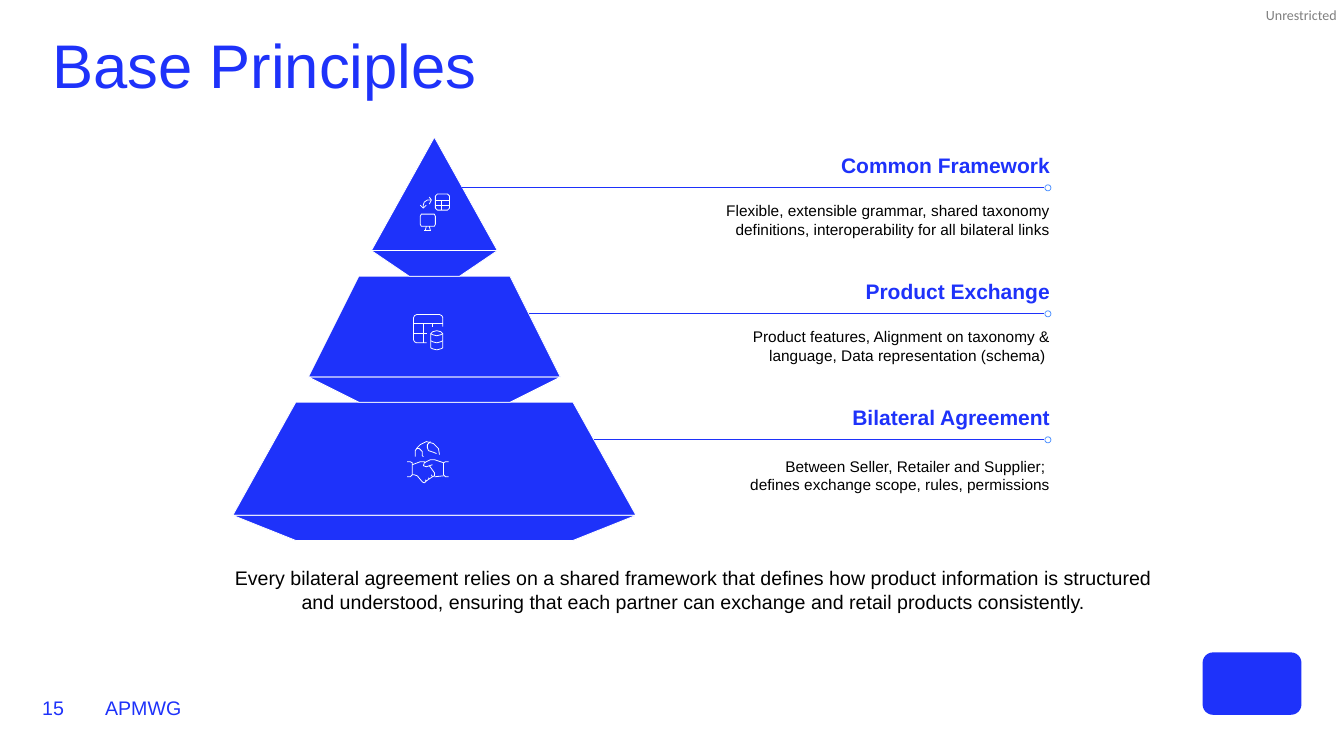
import pptx
import pptx.util
import pptx.dml.color
import pptx.enum.shapes
import pptx.enum.text
import lxml.etree

HUES = {"blue": "1E32FA", "sky": "4F92FF", "white": "FFFFFF",
        "black": "000000", "grey": "7F7F7F"}

# Icon strokes are drawn on a fine grid, measured from the icon's corner.
SHARE = [
    [(15, 2), (17, 0), (27, 0), (29, 2), (29, 14), (27, 16), (17, 16), (15, 14), (15, 2)],
    [(15, 6), (29, 6)], [(15, 11), (29, 11)], [(21, 6), (21, 16)],
    [(0, 22), (1, 20), (14, 20), (15, 22), (15, 30), (14, 32), (1, 32), (0, 30), (0, 22)],
    [(6, 32), (5, 36)], [(9, 32), (10, 36)], [(4, 36), (11, 36)],
    [(11, 6), (7, 6), (4, 8), (3, 11), (3, 14)],
    [(0, 11), (3, 14), (6, 11)], [(9, 3), (11, 6), (9, 10)],
]
DATA = [
    [(29, 12), (29, 3), (28, 1), (26, 0), (3, 0), (1, 1), (0, 3), (0, 25),
     (1, 27), (3, 28), (13, 28)],
    [(0, 9), (29, 9)], [(10, 9), (10, 28)], [(0, 19), (13, 19)], [(19, 9), (19, 12)],
    [(17, 19), (19, 17), (23, 16), (27, 17), (29, 19), (27, 20), (23, 21),
     (19, 20), (17, 19)],
    [(17, 19), (17, 33), (19, 34), (23, 35), (27, 34), (29, 33), (29, 19)],
    [(17, 26), (19, 27), (23, 28), (27, 27), (29, 26)],
]
HANDS = [
    [(8, 16), (8, 10), (10, 7), (13, 4), (19, 1), (26, 3), (31, 8), (32, 14)],
    [(16, 16), (15, 15), (15, 11), (12, 8), (9, 8)],
    [(29, 13), (27, 12), (24, 11), (21, 10), (20, 7), (20, 4), (23, 1)],
    [(36, 35), (27, 36)],
    [(25, 24), (19, 26), (16, 25), (17, 22), (23, 19), (27, 19), (36, 22)],
    [(18, 22), (17, 21), (13, 21), (5, 24)],
    [(0, 21), (3, 21), (5, 22), (5, 34), (3, 36), (0, 36)],
    [(41, 36), (38, 36), (36, 34), (36, 22), (38, 21), (41, 21)],
    [(22, 25), (27, 32), (27, 35), (25, 36), (22, 38), (19, 40), (17, 42),
     (15, 41), (10, 35), (7, 34), (5, 34)],
    [(18, 39), (19, 40)], [(21, 37), (22, 38)], [(24, 34), (25, 36)],
]

# half: half widths at the top, edge and foot; tall: heights of face and base
TIERS = [
    dict(head="Common Framework", half=(0, 45, 18), top=98, tall=(81, 18.3),
         text="Flexible, extensible grammar, shared taxonomy definitions, "
              "interoperability for all bilateral links",
         wide=270, drop=46, icon=SHARE, spot=(300.2, 138.6)),
    dict(head="Product Exchange", half=(54, 90, 54), top=197.3, tall=(72, 18),
         text="Product features, Alignment on taxonomy & language, "
              "Data representation (schema) ",
         wide=262, drop=46, icon=DATA, spot=(295.4, 224.7)),
    dict(head="Bilateral Agreement", half=(99, 144, 99), top=287.3, tall=(80.8, 18),
         text="Between Seller, Retailer and Supplier; \n"
              "defines exchange scope, rules, permissions",
         wide=236, drop=48.2, icon=HANDS, spot=(290.9, 314.7)),
]
CLAIM = ("Every bilateral agreement relies on a shared framework that defines how "
         "product information is structured and understood, ensuring that each "
         "partner can exchange and retail products consistently.")

MID, RIGHT, STEP, GRID, THIN = 310.3, 750, 90, 0.72, 0.56
RULE_Y, HEAD_Y, DOT = 134, 108.7, 4.32

Pt = pptx.util.Pt
ALIGN = pptx.enum.text.PP_ALIGN
ANCHOR = pptx.enum.text.MSO_ANCHOR
KIND = pptx.enum.shapes.MSO_SHAPE

deck = pptx.Presentation()
deck.slide_width, deck.slide_height = Pt(960), Pt(540)
shapes = deck.slides.add_slide(deck.slide_layouts[6]).shapes


def hue(name):
    return pptx.dml.color.RGBColor.from_string(HUES[name])


def paint(shape, fill=None, line=None):
    shape.shadow.inherit = False
    if fill:
        shape.fill.solid()
        shape.fill.fore_color.rgb = hue(fill)
    else:
        shape.fill.background()
    if line:
        shape.line.color.rgb = hue(line)
        shape.line.width = Pt(THIN)
    else:
        shape.line.fill.background()


def write(text, box, size=14, color="blue", face="Arial", bold=False,
          align=ALIGN.LEFT, anchor=ANCHOR.TOP, pad=(0, 0), wrap=True, space=1.0):
    frame = shapes.add_textbox(*map(Pt, box)).text_frame
    frame.word_wrap, frame.vertical_anchor = wrap, anchor
    frame.margin_left = frame.margin_right = Pt(pad[0])
    frame.margin_top = frame.margin_bottom = Pt(pad[1])
    para = frame.paragraphs[0]
    para.text, para.alignment, para.line_spacing = text, align, space
    for font in [para.font] + [run.font for run in para.runs]:
        font.size, font.name, font.bold = Pt(size), face, bold
        font.color.rgb = hue(color)


def trace(paths, close=False, **look):
    """Draw lists of points as the outlines of one freeform."""
    pen = None
    for path in paths:
        start, *rest = [(Pt(x), Pt(y)) for x, y in path]
        if pen is None:
            pen = shapes.build_freeform(*start)
        else:
            pen.move_to(*start)
        pen.add_line_segments(rest, close=close)
    paint(pen.convert_to_shape(), **look)


def rule(left, right, y):
    line = shapes.add_connector(pptx.enum.shapes.MSO_CONNECTOR.STRAIGHT,
                                Pt(right), Pt(y), Pt(left), Pt(y))
    line.line.color.rgb = hue("blue")
    line.line.width = Pt(THIN)
    props = line._element.spPr
    lxml.etree.SubElement(props, pptx.oxml.ns.qn("a:effectLst"))


def band(upper, lower, top, foot):
    """Corners of a slice centred on the pyramid, given its half widths."""
    return [(MID - upper, top), (MID + upper, top),
            (MID + lower, foot), (MID - lower, foot)]


def tier(row, item):
    peak, edge, base = item["half"]
    face, under = item["tall"]
    top = item["top"]
    fold = top + face
    slices = [band(peak, edge, top, fold), band(edge, base, fold, fold + under)]
    trace(slices, close=True, fill="blue", line="white")

    y = RULE_Y + row * STEP
    reach = peak + (edge - peak) * (y - top) / face
    rule(MID + reach, RIGHT - DOT, y)
    dot = shapes.add_shape(KIND.OVAL, Pt(RIGHT + 0.7 - DOT), Pt(y + 0.2 - DOT / 2),
                           Pt(DOT), Pt(DOT))
    paint(dot, line="sky")

    head = HEAD_Y + row * STEP
    write(item["head"], (RIGHT - 160, head, 160, 18), size=15, bold=True,
          align=ALIGN.RIGHT, wrap=False)
    write(item["text"], (RIGHT - item["wide"], RULE_Y - 36 + row * STEP + item["drop"],
                         item["wide"], 26.6),
          size=11, color="black", align=ALIGN.RIGHT)

    left, high = item["spot"]
    trace([[(left + x * GRID, high + y * GRID) for x, y in path]
           for path in item["icon"]], line="white")


def main():
    write("Unrestricted", (904.3, 5, 53.3, 12.2), size=10, color="grey",
          face="Calibri", wrap=False)
    badge = shapes.add_shape(KIND.ROUNDED_RECTANGLE, Pt(859), Pt(466), Pt(70.6), Pt(44.6))
    paint(badge, fill="blue")
    write("Base Principles", (37.4, 25.2, 822, 48.2), size=44, space=0.9)
    write("APMWG", (75, 485.3, 389.5, 28.8), anchor=ANCHOR.BOTTOM)
    write("15", (30.2, 485.3, 36, 28.8), anchor=ANCHOR.BOTTOM)
    for row, item in reversed(list(enumerate(TIERS))):
        tier(row, item)
    write(CLAIM, (152, 401, 687, 41), color="black", align=ALIGN.CENTER, pad=(7.2, 3.6))
    deck.save("out.pptx")


if __name__ == "__main__":
    main()
